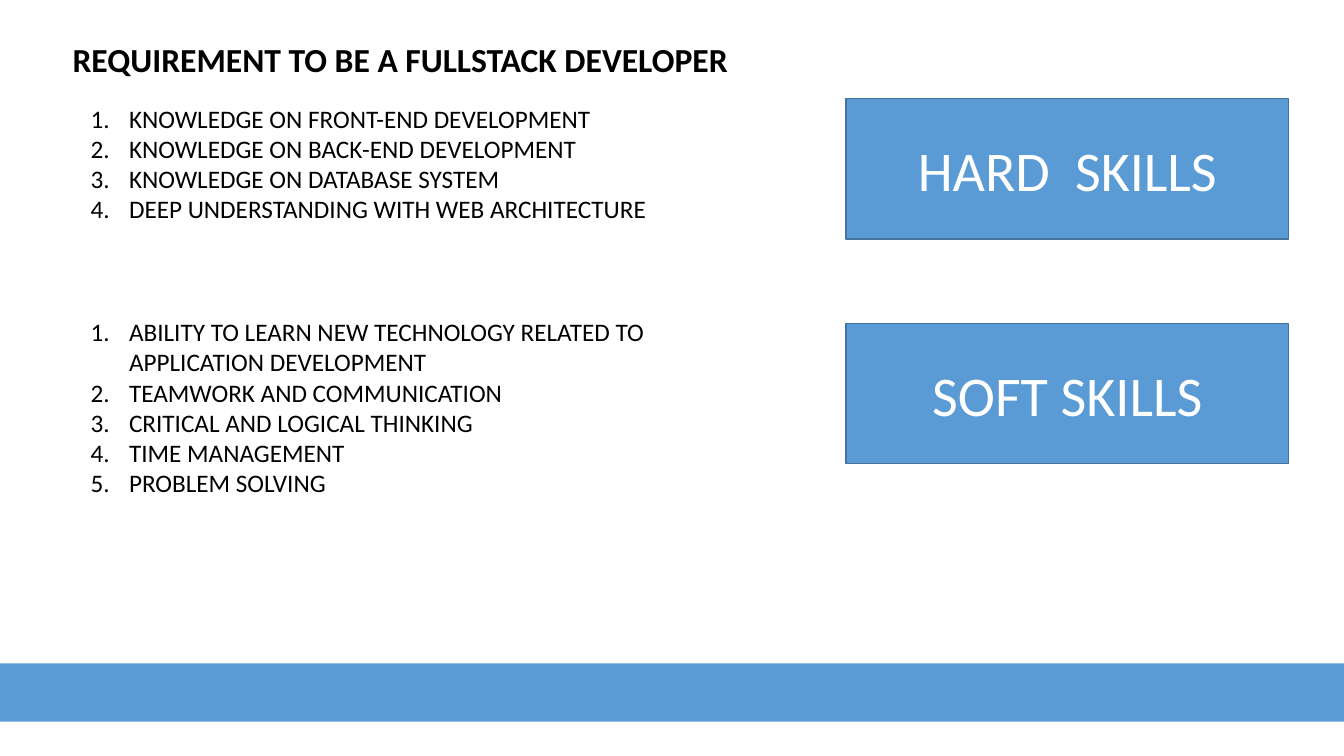
"""Build the slide on the requirements for a fullstack developer."""
from lxml import etree
from pptx import Presentation
from pptx.dml.color import RGBColor
from pptx.enum.shapes import MSO_SHAPE
from pptx.enum.text import MSO_ANCHOR, MSO_AUTO_SIZE, PP_ALIGN
from pptx.oxml.ns import qn
from pptx.util import Pt

RECTANGLE = MSO_SHAPE.RECTANGLE
TOP, MIDDLE = MSO_ANCHOR.TOP, MSO_ANCHOR.MIDDLE
LEFT, CENTER = PP_ALIGN.LEFT, PP_ALIGN.CENTER
NO_AUTOFIT = MSO_AUTO_SIZE.NONE

TITLE = "REQUIREMENT TO BE A FULLSTACK DEVELOPER"
SKILL_GROUPS = [
    {
        "label": "HARD  SKILLS",
        "list_top": 97,
        "list_height": 131,
        "items": [
            "KNOWLEDGE ON FRONT-END DEVELOPMENT",
            "KNOWLEDGE ON BACK-END DEVELOPMENT",
            "KNOWLEDGE ON DATABASE SYSTEM",
            "DEEP UNDERSTANDING WITH WEB ARCHITECTURE",
        ],
    },
    {
        "label": "SOFT SKILLS",
        "list_top": 309,
        "list_height": 192,
        "items": [
            "ABILITY TO LEARN NEW TECHNOLOGY RELATED TO APPLICATION DEVELOPMENT",
            "TEAMWORK AND COMMUNICATION",
            "CRITICAL AND LOGICAL THINKING",
            "TIME MANAGEMENT",
            "PROBLEM SOLVING",
        ],
    },
]

BLUE = RGBColor(0x5B, 0x9B, 0xD5)
DARK_BLUE = RGBColor(0x43, 0x73, 0x9E)
BLACK = RGBColor(0, 0, 0)
WHITE = RGBColor(0xFF, 0xFF, 0xFF)
FONT = "Calibri"

EMU_PER_PX = 9144
SLIDE_SIZE = (1333, 750)
TITLE_BOX = (62, 38, 1169, 58)
BAND_BOX = (-2, 658, 1337, 58)
LIST_LEFT, LIST_WIDTH, LIST_INDENT = 80, 668, 38
LABEL_LEFT, LABEL_TOP, LABEL_WIDTH, LABEL_HEIGHT = 839, 98, 439, 139
LABEL_PITCH = 223


def to_emu(*lengths):
    return [length * EMU_PER_PX for length in lengths]


def place(shape, box):
    shape.left, shape.top, shape.width, shape.height = to_emu(*box)


def write(shape, lines, size, color, align=LEFT, anchor=TOP, bold=False, spacing=1.0):
    frame = shape.text_frame
    frame.text = "\n".join(lines)
    frame.word_wrap = True
    frame.auto_size = NO_AUTOFIT
    frame.vertical_anchor = anchor
    for paragraph in frame.paragraphs:
        paragraph.alignment = align
        paragraph.line_spacing = spacing
        paragraph.space_before = Pt(0)
        for run in paragraph.runs:
            run.font.name = FONT
            run.font.size = Pt(size)
            run.font.bold = bold
            run.font.color.rgb = color


def number(shape):
    indent, = to_emu(LIST_INDENT)
    for paragraph in shape.text_frame.paragraphs:
        properties = paragraph._p.get_or_add_pPr()
        properties.set("marL", str(indent))
        properties.set("indent", str(-indent))
        etree.SubElement(properties, qn("a:buAutoNum"), type="arabicPeriod")


def add_rectangle(slide, box):
    rectangle = slide.shapes.add_shape(RECTANGLE, *to_emu(*box))
    rectangle.shadow.inherit = False
    rectangle.fill.solid()
    rectangle.fill.fore_color.rgb = BLUE
    return rectangle


def main():
    presentation = Presentation()
    presentation.slide_width, presentation.slide_height = to_emu(*SLIDE_SIZE)
    two_content = presentation.slide_layouts[3]
    slide = presentation.slides.add_slide(two_content)

    add_rectangle(slide, BAND_BOX).line.fill.background()

    title = slide.shapes.title
    place(title, TITLE_BOX)
    write(title, [TITLE], 24, BLACK, bold=True, spacing=0.9)

    for index, group in enumerate(SKILL_GROUPS):
        skill_list = slide.placeholders[index + 1]
        place(skill_list, (LIST_LEFT, group["list_top"], LIST_WIDTH, group["list_height"]))
        write(skill_list, group["items"], 18, BLACK)
        number(skill_list)

        label_top = LABEL_TOP + index * LABEL_PITCH
        label = add_rectangle(slide, (LABEL_LEFT, label_top, LABEL_WIDTH, LABEL_HEIGHT))
        label.line.color.rgb = DARK_BLUE
        label.line.width = Pt(1)
        write(label, [group["label"]], 40, WHITE, CENTER, MIDDLE)

    presentation.save("out.pptx")


if __name__ == "__main__":
    main()
